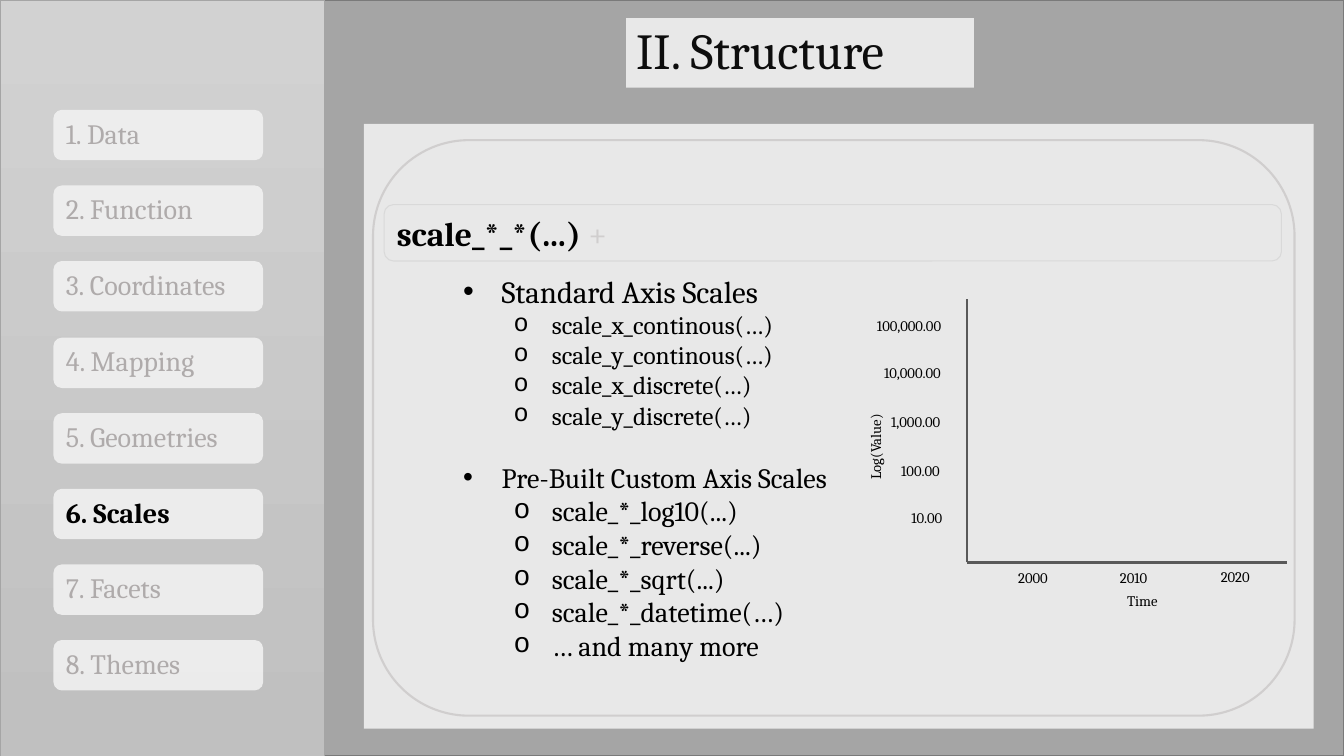
from lxml import etree
from pptx import Presentation
from pptx.dml.color import RGBColor
from pptx.enum.shapes import MSO_CONNECTOR, MSO_SHAPE
from pptx.enum.text import MSO_ANCHOR, PP_ALIGN
from pptx.oxml import parse_xml
from pptx.oxml.ns import nsdecls, qn
from pptx.util import Pt

PX = 9144  # 100 px to the inch
RECTANGLE, ROUNDED = MSO_SHAPE.RECTANGLE, MSO_SHAPE.ROUNDED_RECTANGLE
STRAIGHT = MSO_CONNECTOR.STRAIGHT
LEFT, MIDDLE = PP_ALIGN.LEFT, MSO_ANCHOR.MIDDLE
COLORS = {
    "backdrop": "A5A5A5", "backdrop_edge": "7A7A7A", "card": "F2F2F2",
    "sidebar_top": "D2D2D2", "sidebar_bottom": "C0C0C0",
    "title": "0D0D0D", "text": "000000", "muted": "AFABAB",
    "plus": "D0CECE", "frame": "D0CECE", "code_edge": "D9D9D9", "axis": "595959",
}
COLORS = {name: RGBColor.from_string(value) for name, value in COLORS.items()}


def style_shape(shape, fill=None, line=None, width=1):
    """Set fill and outline; card fills are 88 % opaque."""
    if fill:
        shape.fill.solid()
        shape.fill.fore_color.rgb = COLORS[fill]
        if fill == "card":
            color = shape.fill._xPr.find(qn("a:solidFill"))[0]
            etree.SubElement(color, qn("a:alpha"), val="88000")
    else:
        shape.fill.background()
    if line:
        shape.line.color.rgb = COLORS[line]
        shape.line.width = Pt(width)
    else:
        shape.line.fill.background()
    shape.shadow.inherit = False


def write(paragraph, text, size, color="text", bold=False, **paragraph_format):
    run = paragraph.add_run()
    run.text = text
    font_format = {"name": "Cambria", "size": Pt(size), "bold": bold}
    for name, value in font_format.items():
        setattr(run.font, name, value)
    run.font.color.rgb = COLORS[color]
    for name, value in ({"alignment": LEFT} | paragraph_format).items():
        setattr(paragraph, name, value)


presentation = Presentation()
presentation.slide_width, presentation.slide_height = 1333 * PX, 750 * PX
slide = presentation.slides.add_slide(presentation.slide_layouts[5])
shapes = slide.shapes

# Background areas and content panel
backdrop = shapes.add_shape(RECTANGLE, 321 * PX, 0, 1012 * PX, 750 * PX)
style_shape(backdrop, "backdrop", "backdrop_edge")
sidebar = shapes.add_shape(RECTANGLE, 0, 0, 322 * PX, 750 * PX)
style_shape(sidebar, line="backdrop", width=0.5)
sidebar.fill.gradient()
sidebar.fill.gradient_angle = 270
for stop, name in zip(sidebar.fill.gradient_stops, ("sidebar_top", "sidebar_bottom")):
    stop.color.rgb = COLORS[name]
panel = shapes.add_shape(RECTANGLE, 361 * PX, 123 * PX, 942 * PX, 600 * PX)
style_shape(panel, "card")
frame = shapes.add_shape(ROUNDED, 370 * PX, 139 * PX, 914 * PX, 571 * PX)
style_shape(frame, line="frame", width=1.5)

# Title, raised above the background
title = shapes.title
title_place = {"left": 621, "top": 18, "width": 345, "height": 69}
for name, value in title_place.items():
    setattr(title, name, value * PX)
title.element.spPr.append(parse_xml(
    f'<a:prstGeom {nsdecls("a")} prst="roundRect"><a:avLst/></a:prstGeom>'))
style_shape(title, "card")
title.text_frame.vertical_anchor = MIDDLE
write(title.text_frame.paragraphs[0], "II. Structure", 36, "title", line_spacing=0.9)
title.element.getparent().append(title.element)

# Sidebar navigation
sections = ["Data", "Function", "Coordinates", "Mapping",
            "Geometries", "Scales", "Facets", "Themes"]
for index, section in enumerate(sections):
    top = 109 + round(75.2 * index)
    button = shapes.add_shape(ROUNDED, 53 * PX, top * PX, 208 * PX, 50 * PX)
    style_shape(button, "card")
    current = section == "Scales"
    write(button.text_frame.paragraphs[0], f"{index + 1}. {section}", 20,
          "text" if current else "muted", current, line_spacing=0.9)

# Code line
code = shapes.add_shape(ROUNDED, 381 * PX, 203 * PX, 890 * PX, 56 * PX)
style_shape(code, line="code_edge", width=0.75)
code_line = code.text_frame.paragraphs[0]
write(code_line, "scale_*_*(…) ", 24, bold=True)
write(code_line, "+", 24, "plus")

# Bulleted list: level, text, size, space before
scale_list = [
    (0, "Standard Axis Scales", 22, 0),
    (1, "scale_x_continous(…)", 18, 0),
    (1, "scale_y_continous(…)", 18, 0),
    (1, "scale_x_discrete(…)", 18, 0),
    (1, "scale_y_discrete(…)", 18, 0),
    (0, "Pre-Built Custom Axis Scales", 20, 21.5),
    (1, "scale_*_log10(...)", 20, 0),
    (1, "scale_*_reverse(...)", 20, 0),
    (1, "scale_*_sqrt(...)", 20, 0),
    (1, "scale_*_datetime(…)", 20, 0),
    (1, "… and many more", 20, 0),
]
bullets = [("Arial", "•", 38), ("Courier New", "o", 88)]
body = shapes.add_shape(ROUNDED, 428 * PX, 242 * PX, 890 * PX, 443 * PX)
style_shape(body)
for index, (level, text, size, space) in enumerate(scale_list):
    paragraph = body.text_frame.add_paragraph() if index else body.text_frame.paragraphs[0]
    write(paragraph, text, size, level=level, space_before=Pt(space))
    typeface, character, margin = bullets[level]
    properties = paragraph._p.get_or_add_pPr()
    properties.set("marL", str(margin * PX))
    properties.set("indent", str(-38 * PX))
    etree.SubElement(properties, qn("a:buFont"), typeface=typeface)
    etree.SubElement(properties, qn("a:buChar"), char=character)

# Axis labels: text, left, top, width, height, rotation
axis_labels = [
    ("100,000.00", 860, 309, 96, 33, 0),
    ("10,000.00", 867, 356, 85, 33, 0),
    ("1,000.00", 874, 405, 85, 33, 0),
    ("100.00", 884, 453, 73, 33, 0),
    ("10.00", 894, 500, 73, 33, 0),
    ("2000", 1000, 559, 73, 33, 0),
    ("2010", 1101, 559, 73, 33, 0),
    ("2020", 1201, 558, 73, 33, 0),
    ("Time", 1108, 582, 54, 33, 0),
    ("Log(Value)", 792, 397, 151, 26, 270),
]
for text, left, top, width, height, rotation in axis_labels:
    label = shapes.add_textbox(left * PX, top * PX, width * PX, height * PX)
    label.rotation = rotation
    label.text_frame.word_wrap = True
    write(label.text_frame.paragraphs[0], text, 10.5)

# Axes meet at the lower left corner
for end_x, end_y in [(959, 297), (1276, 558)]:
    axis = shapes.add_connector(STRAIGHT, 959 * PX, 558 * PX, end_x * PX, end_y * PX)
    axis.line.color.rgb = COLORS["axis"]
    axis.line.width = Pt(1.5)
    etree.SubElement(axis._element.spPr, qn("a:effectLst"))

presentation.save("out.pptx")
